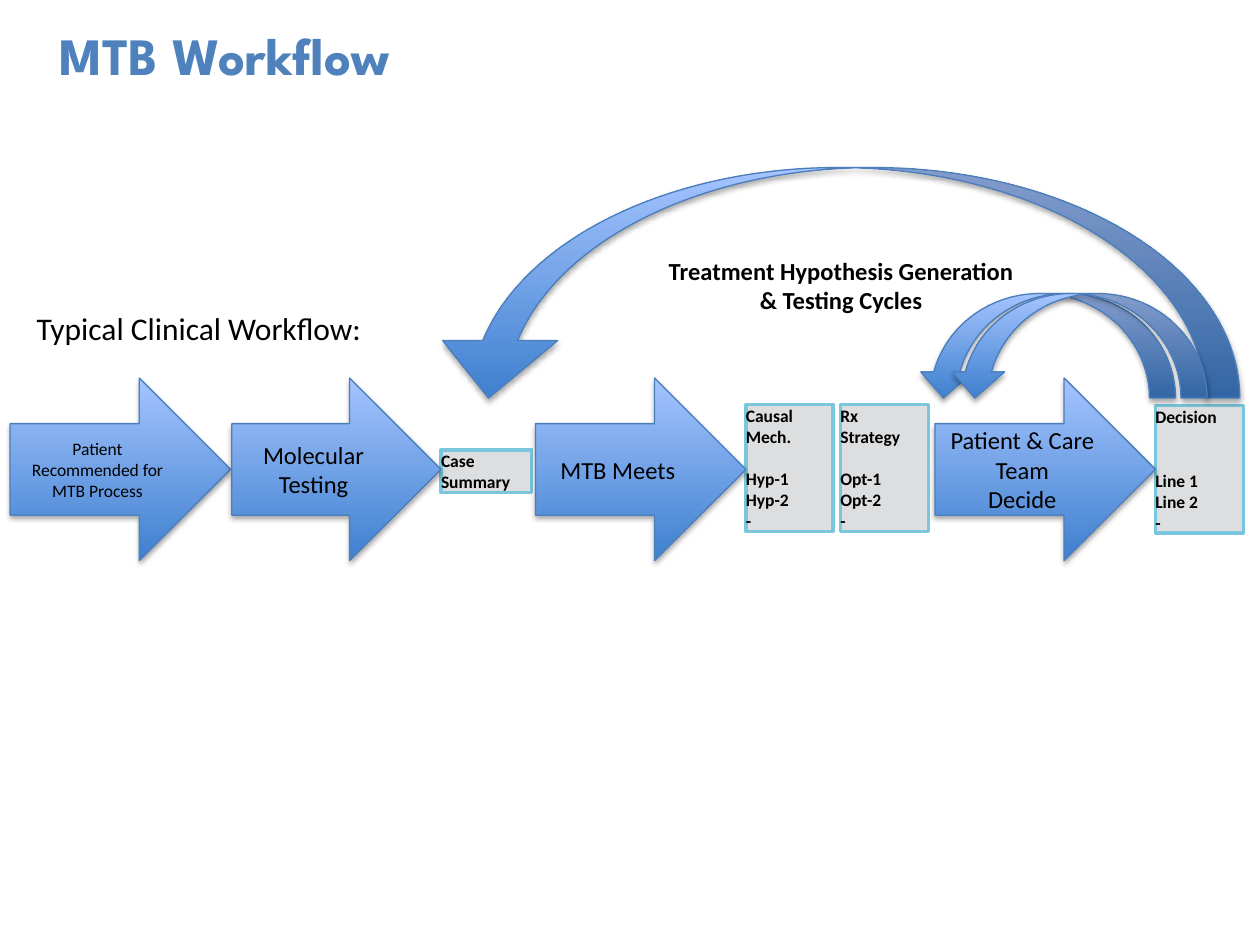
import pptx
import pptx.util
import pptx.dml.color
import pptx.enum.shapes
import pptx.enum.text
import pptx.oxml
import pptx.oxml.ns

Inches = pptx.util.Inches
Pt = pptx.util.Pt
RGBColor = pptx.dml.color.RGBColor
Shape = pptx.enum.shapes.MSO_SHAPE
Align = pptx.enum.text.PP_ALIGN
Anchor = pptx.enum.text.MSO_ANCHOR

BLACK = RGBColor(0x00, 0x00, 0x00)
WHITE = RGBColor(0xFF, 0xFF, 0xFF)
TITLE_BLUE = RGBColor(0x4F, 0x81, 0xBD)
ARROW_DARK = RGBColor(0x3F, 0x80, 0xCE)
ARROW_LIGHT = RGBColor(0xA4, 0xC4, 0xFF)
ARROW_EDGE = RGBColor(0x4B, 0x7E, 0xBC)
NOTE_GREY = RGBColor(0xDC, 0xDE, 0xE0)
NOTE_EDGE = RGBColor(0x7A, 0xC6, 0xDC)

SHADOW = (
    f'<a:outerShdw {pptx.oxml.ns.nsdecls("a")} blurRad="{Pt(3.1)}" dist="{Pt(1.8)}" '
    'dir="5400000" rotWithShape="0"><a:srgbClr val="000000">'
    '<a:alpha val="35000"/></a:srgbClr></a:outerShdw>'
)


def write(frame, lines, size=10, font="Calibri", color=BLACK, bold=False,
          align=Align.LEFT, anchor=Anchor.TOP, margins=(0, 0, 0, 0),
          wrap=True, gaps=None):
    """Fill a text frame with one paragraph a line; gaps maps line index to points before it."""
    frame.word_wrap = wrap
    frame.auto_size = pptx.enum.text.MSO_AUTO_SIZE.NONE
    frame.vertical_anchor = anchor
    (frame.margin_left, frame.margin_top,
     frame.margin_right, frame.margin_bottom) = map(Inches, margins)
    for index, line in enumerate(lines):
        paragraph = frame.paragraphs[0] if index == 0 else frame.add_paragraph()
        paragraph.alignment = align
        if gaps and index in gaps:
            paragraph.space_before = Pt(gaps[index])
        run = paragraph.add_run()
        run.text = line
        run.font.size = Pt(size)
        run.font.name = font
        run.font.bold = bold
        run.font.color.rgb = color


def add_block(slide, preset, box):
    """Add a preset shape without a shadow in the given box."""
    block = slide.shapes.add_shape(preset, *map(Inches, box))
    block.shadow.inherit = False
    return block


def add_blue_arrow(slide, preset, box):
    """Add an arrow with the blue gradient and soft shadow."""
    arrow = add_block(slide, preset, box)
    arrow.fill.gradient()
    arrow.fill.gradient_angle = 90
    for stop, color in zip(arrow.fill.gradient_stops, (ARROW_DARK, ARROW_LIGHT)):
        stop.color.rgb = color
    arrow.line.color.rgb = ARROW_EDGE
    arrow.line.width = Pt(0.75)
    effects = arrow._element.spPr.find(pptx.oxml.ns.qn("a:effectLst"))
    effects.append(pptx.oxml.parse_xml(SHADOW))
    return arrow


def add_title(slide, box):
    """Place the slide title."""
    title = slide.shapes.title
    title.left, title.top, title.width, title.height = map(Inches, box)
    write(title.text_frame, ["MTB Workflow"], size=30, font="League Spartan",
          color=TITLE_BLUE, bold=True, margins=(0.1, 0, 0.1, 0))


def add_heading(slide, box):
    """Label the workflow."""
    heading = slide.shapes.add_textbox(*map(Inches, box))
    write(heading.text_frame, ["Typical Clinical Workflow:"], size=18, wrap=False)


def add_notes(slide, box):
    """Place the bordered result notes between the steps."""
    left, top, _, height = box
    notes = [
        (0, 0.36, 0.72, 0.34, ["Case", "Summary"], None),
        (2.42, 0, 0.69, height, ["Causal Mech.", "Hyp-1", "Hyp-2", "-"], {1: 12.2}),
        (3.17, 0, 0.7, height, ["Rx", "Strategy", "Opt-1", "Opt-2", "-"], {2: 12.2}),
        (5.67, 0.01, 0.7, height, ["Decision", "Line 1", "Line 2", "-"], {1: 24.4}),
    ]
    for dx, dy, width, note_height, lines, gaps in notes:
        note = add_block(slide, Shape.RECTANGLE, (left + dx, top + dy, width, note_height))
        note.fill.solid()
        note.fill.fore_color.rgb = NOTE_GREY
        note.line.color.rgb = NOTE_EDGE
        note.line.width = Pt(2)
        write(note.text_frame, lines, bold=True, anchor=Anchor.MIDDLE, gaps=gaps)


def add_cycle_caption(slide, box):
    """Caption the feedback cycles."""
    caption = add_block(slide, Shape.RECTANGLE, box)
    caption.fill.solid()
    caption.fill.fore_color.rgb = WHITE
    caption.line.fill.background()
    write(caption.text_frame, ["Treatment Hypothesis Generation", "& Testing Cycles"],
          size=14, bold=True, align=Align.CENTER)


def add_steps(slide, box):
    """Place the four step arrows along the box."""
    left, top, _, height = box
    steps = [
        (0, 1.75, 10, ["Patient", "Recommended for MTB Process"]),
        (1.76, 1.66, 14, ["Molecular Testing"]),
        (4.17, 1.67, 14, ["MTB Meets"]),
        (7.34, 1.75, 14, ["Patient & Care Team", "Decide"]),
    ]
    for dx, width, size, lines in steps:
        step = add_blue_arrow(slide, Shape.RIGHT_ARROW, (left + dx, top, width, height))
        write(step.text_frame, lines, size=size, align=Align.CENTER,
              anchor=Anchor.MIDDLE, margins=(0.1, 0.05, 0.1, 0.05))


def add_cycles(slide, box):
    """Draw the curved arrows that lead back, resting on the bottom of the box."""
    left, top, width, height = box
    short_height = 0.83
    short_top = top + height - short_height
    cycles = [
        ((left + 3.86, short_top, 2.05, short_height), None),
        (box, 0.151),
        ((left + 4.11, short_top, 2.05, short_height), None),
    ]
    for cycle_box, thickness in cycles:
        cycle = add_blue_arrow(slide, Shape.CURVED_DOWN_ARROW, cycle_box)
        cycle._element.spPr.get_or_add_xfrm().set("flipH", "1")
        if thickness:
            cycle.adjustments[0] = thickness


def main():
    """Build the workflow slide and save it."""
    deck = pptx.Presentation()
    deck.slide_width, deck.slide_height = Inches(10), Inches(7.5)
    slide = deck.slides.add_slide(deck.slide_layouts[5])
    add_heading(slide, (0.29, 2.45, 3.04, 0.3))
    add_notes(slide, (3.5, 3.21, 6.37, 1.01))
    add_cycle_caption(slide, (4.27, 2.03, 4.81, 0.47))
    add_steps(slide, (0.08, 3, 9.09, 1.45))
    add_cycles(slide, (3.42, 1.33, 6.42, 1.83))
    add_title(slide, (0.37, 0.18, 7.83, 1.41))
    deck.save("out.pptx")


if __name__ == "__main__":
    main()
